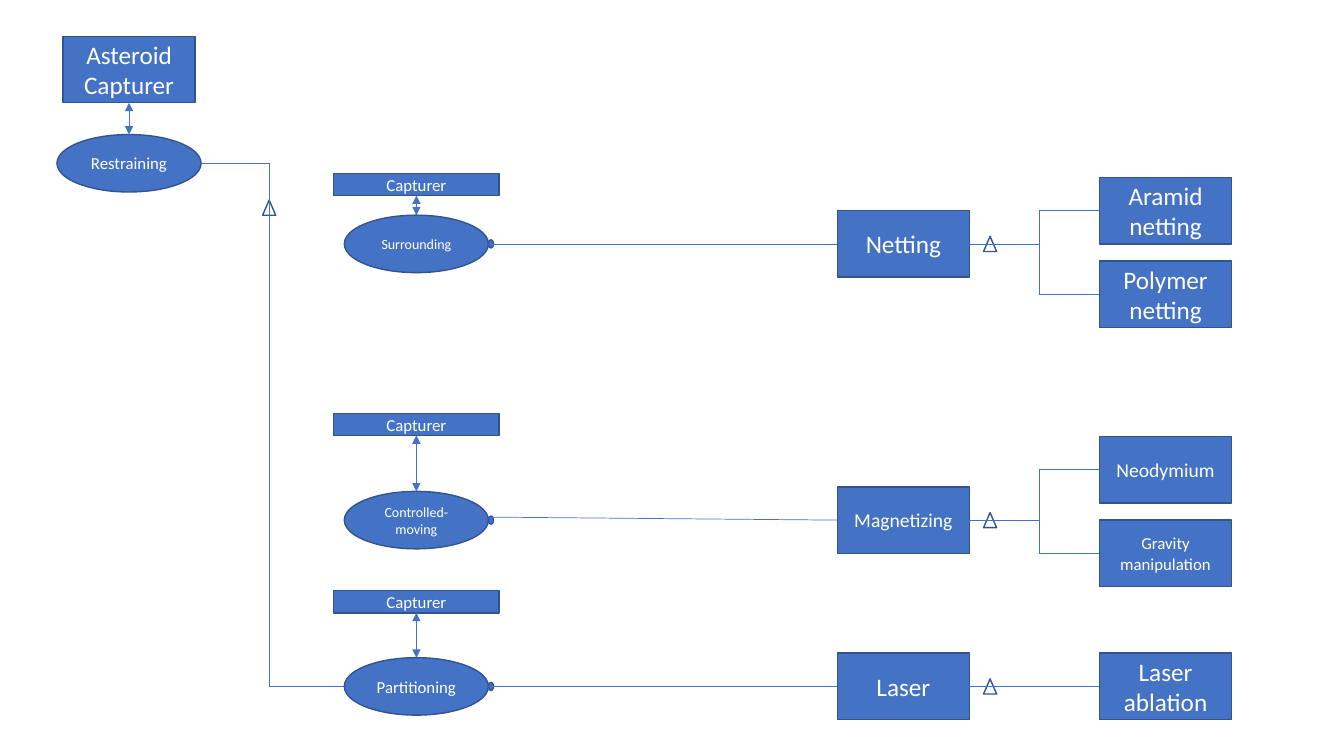
from lxml import etree
from pptx import Presentation
from pptx.dml.color import RGBColor
from pptx.enum.shapes import MSO_CONNECTOR, MSO_SHAPE
from pptx.enum.text import MSO_ANCHOR, PP_ALIGN
from pptx.oxml.ns import qn
from pptx.util import Inches, Pt

STRAIGHT = MSO_CONNECTOR.STRAIGHT
OBJECT, PROCESS = MSO_SHAPE.RECTANGLE, MSO_SHAPE.OVAL
TRIANGLE, DOT = MSO_SHAPE.ISOSCELES_TRIANGLE, MSO_SHAPE.FLOWCHART_CONNECTOR
CENTER, MIDDLE = PP_ALIGN.CENTER, MSO_ANCHOR.MIDDLE

FONT = "Calibri"
BLUE, OUTLINE, WHITE = "4472C4", "325491", "FFFFFF"

# Sizes of the parts (width, height)
BOX, OVAL, BAR = (1.31, 0.66), (1.43, 0.57), (1.64, 0.22)
MARK, PIN = (0.13, 0.15), (0.05, 0.08)

# Column centres, from left to right
ROOT_X, TRUNK_X, PROCESS_X = 1.28, 2.67, 4.13
METHOD_X, MARK_X, FORK_X, VARIANT_X = 8.96, 9.82, 10.31, 11.56
ROOT_Y, RESTRAINING_Y = 0.69, 1.62

# Process, its size, row centre, height of its link and of its capturer,
# method, its size, and the variants with size and row centre
BRANCHES = [
    ("Surrounding", 10, 2.42, 2.42, 1.83, "Netting", 18,
     [("Aramid netting", 18, 2.09), ("Polymer netting", 18, 2.92)]),
    ("Controlled-moving", 10, 5.16, 5.13, 4.21, "Magnetizing", 14,
     [("Neodymium", 14, 4.66), ("Gravity manipulation", 12, 5.49)]),
    ("Partitioning", 12, 6.81, 6.81, 5.97, "Laser", 18,
     [("Laser ablation", 18, 6.81)]),
]

prs = Presentation()
prs.slide_width, prs.slide_height = Inches(13.33), Inches(7.5)
slide = prs.slides.add_slide(prs.slide_layouts[6])


def add_part(kind, x, y, size, text="", points=12, fill=BLUE):
    """Add an outlined shape centred on x, y, with an optional label."""
    width, height = size
    part = slide.shapes.add_shape(kind, Inches(x - width / 2), Inches(y - height / 2),
                                  Inches(width), Inches(height))
    part.shadow.inherit = False
    part.line.color.rgb = RGBColor.from_string(OUTLINE)
    part.line.width = Pt(1)
    if fill:
        part.fill.solid()
        part.fill.fore_color.rgb = RGBColor.from_string(fill)
    else:
        part.fill.background()
    if text:
        frame = part.text_frame
        frame.word_wrap = True
        frame.vertical_anchor = MIDDLE
        frame.paragraphs[0].alignment = CENTER
        run = frame.paragraphs[0].add_run()
        run.text = text
        run.font.name, run.font.size = FONT, Pt(points)
        run.font.color.rgb = RGBColor.from_string(WHITE)


def add_link(x1, y1, x2, y2, arrows=False):
    """Add a thin straight line, with arrowheads at both ends if asked."""
    link = slide.shapes.add_connector(STRAIGHT, Inches(x1), Inches(y1),
                                      Inches(x2), Inches(y2))
    link.line.color.rgb = RGBColor.from_string(BLUE)
    link.line.width = Pt(0.5)
    if arrows:
        for end in ("a:headEnd", "a:tailEnd"):
            etree.SubElement(link.line._get_or_add_ln(), qn(end), type="triangle")
    etree.SubElement(link._element.spPr, qn("a:effectLst"))


# Root object and its process
add_part(OBJECT, ROOT_X, ROOT_Y, BOX, "Asteroid Capturer", 18)
add_part(PROCESS, ROOT_X, RESTRAINING_Y, OVAL, "Restraining")
add_link(ROOT_X, RESTRAINING_Y - OVAL[1] / 2, ROOT_X, ROOT_Y + BOX[1] / 2, arrows=True)

# Trunk from Restraining down to the last process
last_y = BRANCHES[-1][2]
add_part(TRIANGLE, TRUNK_X, 2.06, MARK, fill=None)
add_link(ROOT_X + OVAL[0] / 2, RESTRAINING_Y, TRUNK_X, RESTRAINING_Y)
add_link(TRUNK_X, RESTRAINING_Y, TRUNK_X, last_y)
add_link(TRUNK_X, last_y, PROCESS_X - OVAL[0] / 2, last_y)

method_left, method_right = METHOD_X - BOX[0] / 2, METHOD_X + BOX[0] / 2
variant_left = VARIANT_X - BOX[0] / 2
process_right = PROCESS_X + OVAL[0] / 2

for process, process_pt, y, link_y, capturer_y, method, method_pt, variants in BRANCHES:
    add_part(OBJECT, PROCESS_X, capturer_y, BAR, "Capturer")
    add_part(PROCESS, PROCESS_X, y, OVAL, process, process_pt)
    add_link(PROCESS_X, y - OVAL[1] / 2, PROCESS_X, capturer_y + BAR[1] / 2, arrows=True)

    add_part(OBJECT, METHOD_X, y, BOX, method, method_pt)
    add_part(DOT, process_right + PIN[0] / 2, y, PIN)
    add_link(process_right, link_y, method_left, y)

    add_part(TRIANGLE, MARK_X, y, MARK, fill=None)
    add_link(method_right, y, FORK_X, y)
    for variant, variant_pt, variant_y in variants:
        add_part(OBJECT, VARIANT_X, variant_y, BOX, variant, variant_pt)
        add_link(FORK_X, variant_y, variant_left, variant_y)
    if len(variants) > 1:
        add_link(FORK_X, variants[0][2], FORK_X, variants[-1][2])

prs.save("out.pptx")
